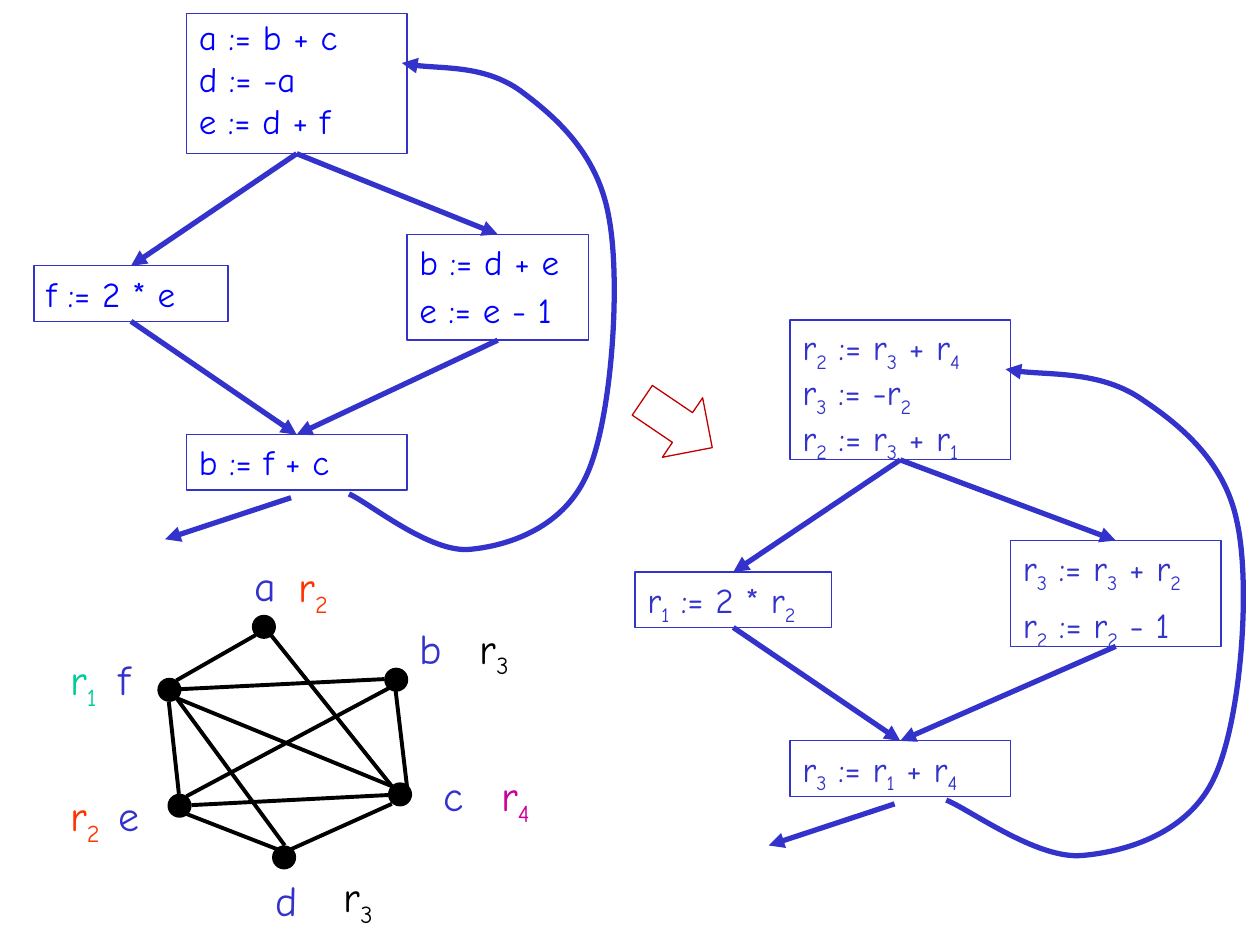
from typing import NamedTuple

from lxml import etree
from pptx import Presentation
from pptx.dml.color import RGBColor
from pptx.enum.shapes import MSO_CONNECTOR, MSO_SHAPE
from pptx.enum.text import MSO_ANCHOR, PP_ALIGN
from pptx.oxml.ns import qn
from pptx.util import Inches, Pt

RECT, OVAL, ARROW = MSO_SHAPE.RECTANGLE, MSO_SHAPE.OVAL, MSO_SHAPE.RIGHT_ARROW
LINE = MSO_CONNECTOR.STRAIGHT
TOP, BOTTOM = 0, 2
COLORS = {"flow": "3333CC", "code": "0000FF", "black": "000000", "green": "00CC99",
          "red": "FF3300", "pink": "CC0099", "arrow": "C00000"}
FONT = {"name": "Comic Neue"}
FRAME = {"vertical_anchor": MSO_ANCHOR.TOP}


class Block(NamedTuple):
    x: float
    y: float
    w: float
    h: float
    code: list[str]


class Flow(NamedTuple):
    dx: float
    dy: float
    color: str
    blocks: list[Block]
    loop: float     # left end of the back edge
    stretch: float  # its horizontal scale


class Node(NamedTuple):
    name: str
    x: float
    y: float
    label: tuple[float, float]
    reg: str
    color: str
    place: tuple[float, float]


# An underscore makes the next character a subscript
FLOWS = [
    Flow(0, 0, "code", [
        Block(1.48, 0.11, 1.75, 1.11, ["a := b + c", "d := -a", "e := d + f"]),
        Block(0.27, 2.11, 1.54, 0.44, ["f := 2 * e"]),
        Block(3.23, 1.86, 1.44, 0.84, ["b := d + e", "e := e - 1"]),
        Block(1.48, 3.45, 1.75, 0.44, ["b := f + c"])], 2.77, 1),
    Flow(4.79, 2.43, "flow", [
        Block(1.48, 0.11, 1.75, 1.11,
              ["r_2 := r_3 + r_4", "r_3 := -r_2", "r_2 := r_3 + r_1"]),
        Block(0.25, 2.11, 1.56, 0.44, ["r_1 := 2 * r_2"]),
        Block(3.23, 1.86, 1.67, 0.84, ["r_3 := r_3 + r_2", "r_2 := r_2 - 1"]),
        Block(1.48, 3.45, 1.75, 0.44, ["r_3 := r_1 + r_4"])], 7.51, 1.12),
]
STEPS = [(0, 1), (0, 2), (1, 3), (2, 3)]
SPACING = {1: [1], 2: [1, 0.7], 3: [0.9, 0.5, 0.6]}

# Back edge: start, then three points for each curve, x from its left end
LOOP = [(0, 3.92), (0.16, 3.99), (0.64, 4.39), (0.96, 4.36),
        (1.28, 4.33), (1.72, 4.18), (1.9, 3.74),
        (2.09, 3.29), (2.16, 2.21), (2.06, 1.71),
        (1.97, 1.21), (1.63, 0.92), (1.36, 0.72),
        (1.08, 0.52), (0.61, 0.55), (0.42, 0.5)]

DOT = 0.17
NODES = [
    Node("a", 2.01, 4.89, (1.92, 4.39), "r_2", "red", (2.27, 4.4)),
    Node("b", 3.06, 5.31, (3.23, 4.89), "r_3", "black", (3.71, 4.89)),
    Node("c", 3.09, 6.22, (3.42, 6.06), "r_4", "pink", (3.88, 6.06)),
    Node("d", 2.17, 6.72, (2.09, 6.89), "r_3", "black", (2.63, 6.86)),
    Node("e", 1.34, 6.31, (0.84, 6.22), "r_2", "red", (0.46, 6.22)),
    Node("f", 1.26, 5.39, (0.84, 5.14), "r_1", "green", (0.46, 5.14)),
]
EDGES = [
    (3.11, 6.38, 2.31, 6.74), (2.15, 5.04, 3.11, 6.24), (3.14, 5.48, 3.23, 6.24),
    (3.05, 5.39, 1.43, 5.47), (3.09, 5.46, 1.48, 6.32), (3.08, 6.31, 1.52, 6.39),
    (2.03, 5.04, 1.4, 5.4), (2.2, 6.74, 1.48, 6.46), (1.42, 6.3, 1.34, 5.57),
    (3.11, 6.24, 1.4, 5.54), (2.26, 6.71, 1.4, 5.54),
]


def rgb(color: str) -> RGBColor:
    return RGBColor.from_string(COLORS[color])


def stroke(shape, color: str, width: float, head: bool = False) -> None:
    shape.line.color.rgb = rgb(color)
    shape.line.width = Pt(width)
    if head:
        ln = shape._element.spPr.get_or_add_ln()
        etree.SubElement(ln, qn("a:tailEnd"), type="triangle")


def link(shapes, ends: tuple, color: str, width: float, head: bool = False):
    line = shapes.add_connector(LINE, *map(Inches, ends))
    stroke(line, color, width, head)
    etree.SubElement(line._element.spPr, qn("a:effectLst"))
    return line


def outline(shapes, kind, area: tuple, color: str, width: float, fill: bool = False):
    shape = shapes.add_shape(kind, *map(Inches, area))
    shape.shadow.inherit = False
    if fill:
        shape.fill.solid()
        shape.fill.fore_color.rgb = rgb(color)
    else:
        shape.fill.background()
    stroke(shape, color, width)
    return shape


def write(shape, rows: list[str], color: str, size: float, wrap: bool = True) -> None:
    frame = shape.text_frame
    for key, value in {**FRAME, "word_wrap": wrap}.items():
        setattr(frame, key, value)
    for i, row in enumerate(rows):
        para = frame.add_paragraph() if i else frame.paragraphs[0]
        para.alignment = PP_ALIGN.LEFT
        para.line_spacing = SPACING[len(rows)][i]
        para.space_before = Pt(size / 2 if i else 0)
        first, *rest = row.split("_")
        parts = [(first, False)]
        for part in rest:
            parts += [(part[0], True), (part[1:], False)]
        for text, sub in parts:
            if not text:
                continue
            run = para.add_run()
            run.text = text
            for key, value in {**FONT, "size": Pt(size)}.items():
                setattr(run.font, key, value)
            run.font.color.rgb = rgb(color)
            if sub:
                run._r.get_or_add_rPr().set("baseline", "-25000")


def curve(shapes, points: list[tuple]) -> None:
    spots = [(Inches(x), Inches(y)) for x, y in points]
    pen = shapes.build_freeform(*spots[0])
    pen.add_line_segments(spots[1:], close=False)
    shape = pen.convert_to_shape()
    # Turn each three line points into one cubic curve
    trace = shape._element.xpath(".//a:path")[0]
    lines = trace.findall(qn("a:lnTo"))
    for i in range(0, len(lines), 3):
        bend = etree.SubElement(trace, qn("a:cubicBezTo"))
        for line in lines[i:i + 3]:
            bend.append(line[0])
            trace.remove(line)
    shape.fill.background()
    shape.shadow.inherit = False
    stroke(shape, "flow", 3, True)


def draw_flow(shapes, flow: Flow) -> None:
    boxes = []
    for block in flow.blocks:
        area = (block.x + flow.dx, block.y + flow.dy, block.w, block.h)
        box = outline(shapes, RECT, area, "flow", 0.75)
        write(box, block.code, flow.color, 20)
        boxes.append(box)
    for start, end in STEPS:
        line = link(shapes, (0, 0, 1, 1), "flow", 3, True)
        line.begin_connect(boxes[start], BOTTOM)
        line.end_connect(boxes[end], TOP)
    curve(shapes, [(flow.loop + x * flow.stretch, y + flow.dy) for x, y in LOOP])
    leave = (2.31 + flow.dx, 3.95 + flow.dy, 1.31 + flow.dx, 4.28 + flow.dy)
    link(shapes, leave, "flow", 3, True)


def draw_node(shapes, node: Node) -> None:
    outline(shapes, OVAL, (node.x, node.y, DOT, DOT), "black", 1.5, True)
    for text, color, place, width, wrap in (
            (node.name, "flow", node.label, 0.38, False),
            (node.reg, node.color, node.place, 0.5, True)):
        box = shapes.add_textbox(*map(Inches, (*place, width, 0.5)))
        write(box, [text], color, 24, wrap)


def main() -> None:
    deck = Presentation()
    deck.slide_width, deck.slide_height = Inches(10), Inches(7.5)
    shapes = deck.slides.add_slide(deck.slide_layouts[6]).shapes
    # Control flow before and after allocation
    for flow in FLOWS:
        draw_flow(shapes, flow)
    # Interference graph
    for edge in EDGES:
        link(shapes, edge, "black", 2.25)
    for node in NODES:
        draw_node(shapes, node)
    # Arrow between the two flows
    arrow = outline(shapes, ARROW, (5.04, 3.08, 0.67, 0.57), "arrow", 0.75)
    arrow.rotation = 34.1
    deck.save("out.pptx")


if __name__ == "__main__":
    main()
